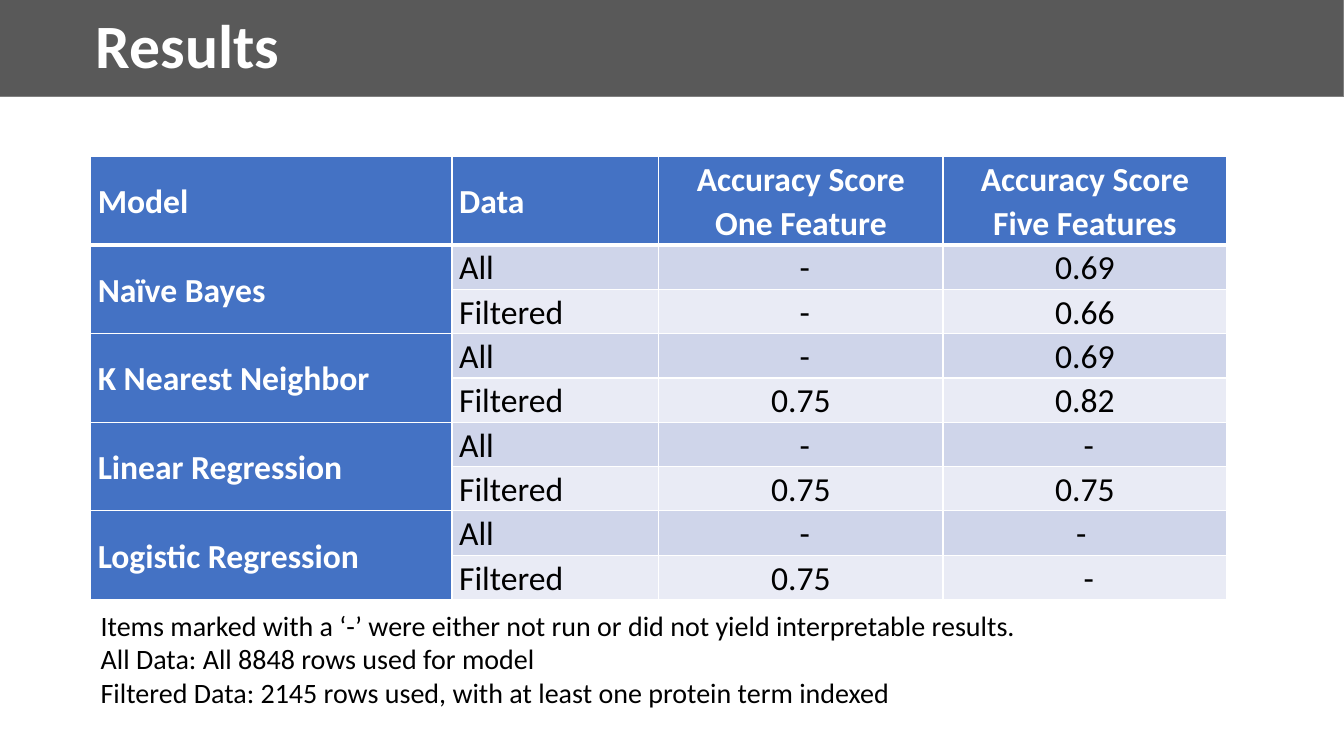
from lxml.etree import SubElement
from pptx import Presentation
from pptx.dml.color import RGBColor
from pptx.enum.shapes import MSO_SHAPE
from pptx.enum.text import MSO_ANCHOR, PP_ALIGN
from pptx.oxml.ns import qn
from pptx.util import Inches, Pt

WHITE = RGBColor(0xFF, 0xFF, 0xFF)
BLACK = RGBColor(0x00, 0x00, 0x00)
BANNER_GRAY = RGBColor(0x59, 0x59, 0x59)
EDGE_GRAY = RGBColor(0x80, 0x80, 0x80)
HEADER_BLUE = RGBColor(0x44, 0x72, 0xC4)
BANDS = (RGBColor(0xCF, 0xD5, 0xEA), RGBColor(0xE9, 0xEB, 0xF5))

SLIDE_WIDTH, SLIDE_HEIGHT = Inches(13.33), Inches(7.5)
MARGIN, CONTENT_WIDTH = Inches(0.9), Inches(11.27)
COLUMN_SHARES = (0.318, 0.182, 0.25, 0.25)
ROW_UNITS = 10

HEADER = ("Model", "Data", "Accuracy Score\nOne Feature", "Accuracy Score\vFive Features")
SCORES = {
    "Naïve Bayes": ((" -", "0.69"), (" -", "0.66")),
    "K Nearest Neighbor": ((" -", "0.69"), ("0.75", "0.82")),
    "Linear Regression": ((" -", " -"), ("0.75", "0.75")),
    "Logistic Regression": ((" -", "- "), ("0.75", " -")),
}
DATA_SETS = ("All", "Filtered")
NOTES = (
    "Items marked with a ‘-’ were either not run or did not yield interpretable results.",
    "All Data: All 8848 rows used for model",
    "Filtered Data: 2145 rows used, with at least one protein term indexed",
)


def write(frame, text, size, color, bold=False, align=PP_ALIGN.LEFT, spacing=1.0):
    """Fill a text frame with evenly formatted, vertically centred paragraphs."""
    frame.text = text
    frame.word_wrap = True
    frame.vertical_anchor = MSO_ANCHOR.MIDDLE
    for paragraph in frame.paragraphs:
        paragraph.alignment = align
        paragraph.line_spacing = spacing
        for run in paragraph.runs:
            run.font.name = "Calibri"
            run.font.size = Pt(size)
            run.font.bold = bold
            run.font.color.rgb = color


def add_banner(slide, left, top, width, height):
    """Draw the title bar across the given box."""
    banner = slide.shapes.add_shape(MSO_SHAPE.RECTANGLE, left, top, width, height)
    banner.shadow.inherit = False
    banner.fill.solid()
    banner.fill.fore_color.rgb = BANNER_GRAY
    banner.line.color.rgb = EDGE_GRAY
    banner.line.width = Pt(0.75)
    write(banner.text_frame, "Results", 44, WHITE, bold=True, spacing=0.9)
    banner.text_frame.margin_left = Inches(0.95)


def set_borders(cell, bottom):
    """Give a cell white borders, with its own bottom width in points."""
    properties = cell._tc.get_or_add_tcPr()
    sides = (("a:lnL", 1), ("a:lnR", 1), ("a:lnT", 1), ("a:lnB", bottom))
    for position, (side, points) in enumerate(sides):
        border = SubElement(properties, qn(side), w=str(Pt(points)))
        fill = SubElement(border, qn("a:solidFill"))
        SubElement(fill, qn("a:srgbClr"), val=str(WHITE))
        properties.insert(position, border)


def fill_cell(cell, text, fill, color, bold, centred, bottom=1):
    """Write and style one table cell."""
    cell.margin_left = cell.margin_right = Inches(0.07)
    cell.margin_top = cell.margin_bottom = 0
    cell.fill.solid()
    cell.fill.fore_color.rgb = fill
    align = PP_ALIGN.CENTER if centred else PP_ALIGN.LEFT
    write(cell.text_frame, text, 24, color, bold, align, spacing=1.07)
    cell.vertical_anchor = MSO_ANCHOR.MIDDLE
    set_borders(cell, bottom)


def add_scores(slide, left, top, width, height):
    """Build the table of accuracy scores in the given box."""
    row_count = 1 + len(SCORES) * len(DATA_SETS)
    table = slide.shapes.add_table(row_count, len(HEADER), left, top, width, height).table
    for column, share in zip(table.columns, COLUMN_SHARES):
        column.width = int(width * share)
    for number, row in enumerate(table.rows):
        row.height = height * (1 if number else 2) // ROW_UNITS
    for column, label in enumerate(HEADER):
        fill_cell(table.cell(0, column), label, HEADER_BLUE, WHITE, True, column > 1, bottom=3)
    for group, (model, results) in enumerate(SCORES.items()):
        first = 1 + group * len(DATA_SETS)
        last = first + len(DATA_SETS) - 1
        table.cell(first, 0).merge(table.cell(last, 0))
        for offset, (data, scores) in enumerate(zip(DATA_SETS, results)):
            row = first + offset
            name = "" if offset else model
            fill_cell(table.cell(row, 0), name, HEADER_BLUE, WHITE, True, False)
            for column, value in enumerate((data, *scores), start=1):
                fill_cell(table.cell(row, column), value, BANDS[offset], BLACK, False, column > 1)


def add_notes(slide, left, top, width, height):
    """Place the explanatory lines in the given box."""
    notes = slide.shapes.add_textbox(left, top, width, height)
    write(notes.text_frame, "\n".join(NOTES), 20, BLACK)


def main():
    """Assemble and save the results slide."""
    deck = Presentation()
    deck.slide_width, deck.slide_height = SLIDE_WIDTH, SLIDE_HEIGHT
    slide = deck.slides.add_slide(deck.slide_layouts[6])
    add_banner(slide, 0, 0, SLIDE_WIDTH, Inches(0.96))
    add_scores(slide, MARGIN, Inches(1.55), CONTENT_WIDTH, Inches(4.4))
    add_notes(slide, MARGIN, Inches(5.98), CONTENT_WIDTH, Inches(1.11))
    deck.save("out.pptx")


if __name__ == "__main__":
    main()
